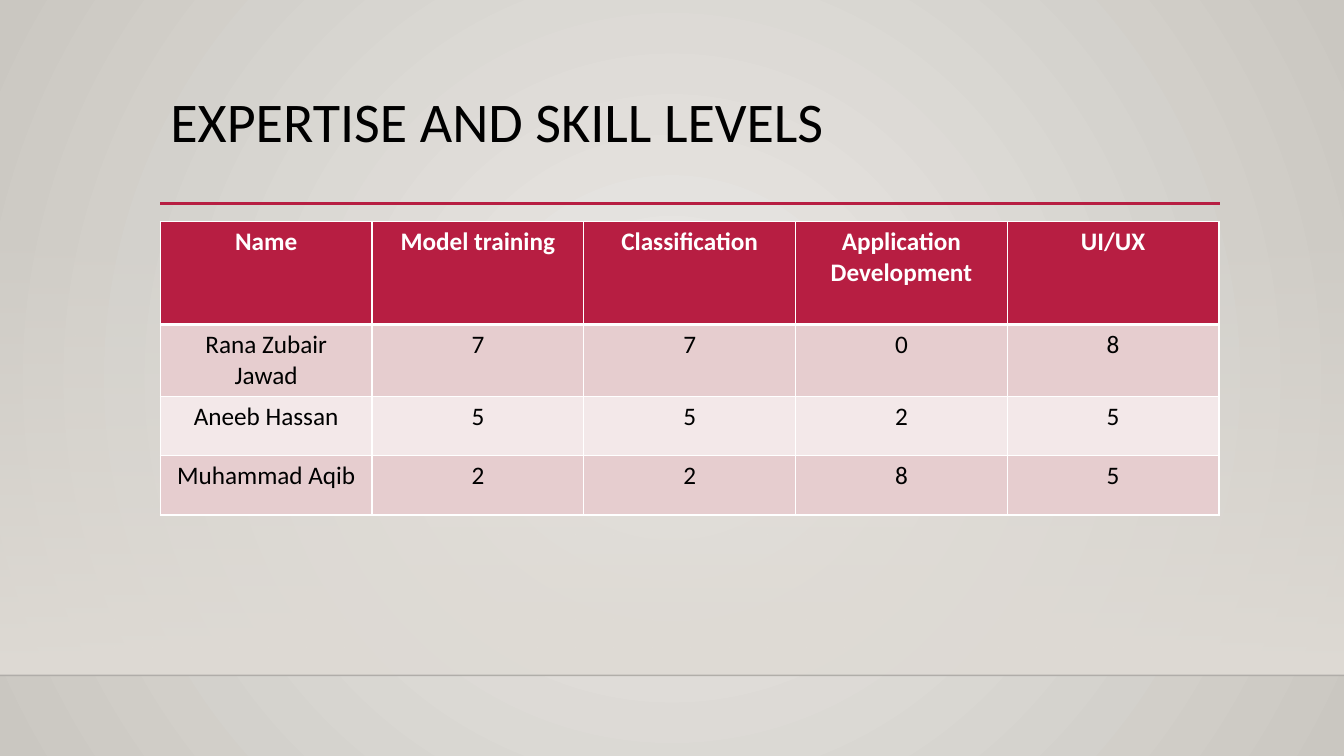
from lxml.etree import SubElement
from pptx import Presentation
from pptx.dml.color import RGBColor
from pptx.enum.shapes import MSO_CONNECTOR, MSO_SHAPE
from pptx.enum.text import MSO_ANCHOR, MSO_AUTO_SIZE, PP_ALIGN
from pptx.oxml.ns import qn
from pptx.util import Pt

SCALE = 9144
COLORS = {
    "centre": "ECEAE7", "edge": "CAC7C1", "wall": "DFDBD5",
    "accent": "B71E42", "band": "E6CDCF", "pale": "F3E8E9",
    "black": "000000", "shade": "000001", "white": "FFFFFF",
}
ROWS = [
    ["Name", "Model training", "Classification", "Application Development", "UI/UX"],
    ["Rana Zubair Jawad", "7", "7", "0", "8"],
    ["Aneeb Hassan", "5", "5", "2", "5"],
    ["Muhammad Aqib", "2", "2", "8", "5"],
]


def px(n):
    return round(n * SCALE)


def rgb(name):
    return RGBColor.from_string(COLORS[name])


def set_alpha(color, percent):
    SubElement(color, qn("a:alpha"), val=str(percent * 1000))


class SlideBuilder:
    font = "Calibri"

    def __init__(self, prs):
        self.s = prs.slides.add_slide(prs.slide_layouts[5])

    def gradient(self, owner, fill, names):
        fill.gradient()
        for stop, name, position in zip(fill.gradient_stops, names, (0, 1)):
            stop.color.rgb = rgb(name)
            stop.position = position
        return owner.element.find(".//" + qn("a:gradFill"))

    def background(self, centre, edge):
        grad = self.gradient(self.s, self.s.background.fill, (centre, edge))
        grad.remove(grad.find(qn("a:lin")))
        circle = SubElement(grad, qn("a:path"), path="circle")
        SubElement(circle, qn("a:fillToRect"), dict.fromkeys("ltrb", "50000"))

    def fade(self, x, y, w, h, color):
        sp = self.s.shapes.add_shape(MSO_SHAPE.RECTANGLE, px(x), px(y), px(w), px(h))
        sp.shadow.inherit = False
        sp.line.fill.background()
        grad = self.gradient(sp, sp.fill, (color, color))
        sp.fill.gradient_angle = 270
        set_alpha(grad.find(".//" + qn("a:srgbClr")), 0)

    def rule(self, x1, x2, y, color, width, alpha=100):
        line = self.s.shapes.add_connector(
            MSO_CONNECTOR.STRAIGHT, px(x1), px(y), px(x2), px(y))
        line.line.color.rgb = rgb(color)
        line.line.width = Pt(width)
        sp_pr = line.element.spPr
        SubElement(sp_pr, qn("a:effectLst"))
        if alpha < 100:
            set_alpha(sp_pr.find(".//" + qn("a:srgbClr")), alpha)

    def style(self, p, size, color, align, bold=False):
        p.alignment = align
        p.font.name = self.font
        p.font.size = Pt(size)
        p.font.bold = bold
        p.font.color.rgb = rgb(color)

    def title(self, text, x, y, w, h):
        sp = self.s.shapes.title
        sp.left, sp.top, sp.width, sp.height = px(x), px(y), px(w), px(h)
        tf = sp.text_frame
        tf.text = text
        tf.word_wrap = True
        tf.auto_size = MSO_AUTO_SIZE.NONE
        tf.vertical_anchor = MSO_ANCHOR.TOP
        p = tf.paragraphs[0]
        p.line_spacing = 0.9
        self.style(p, 40, "black", PP_ALIGN.LEFT)

    def borders(self, cell, widths):
        tc_pr = cell._tc.get_or_add_tcPr()
        for i, (side, width) in enumerate(zip("LRTB", widths)):
            ln = SubElement(tc_pr, qn("a:ln" + side), w=str(Pt(width)))
            fill = SubElement(ln, qn("a:solidFill"))
            SubElement(fill, qn("a:srgbClr"), val=COLORS["white"])
            tc_pr.insert(i, ln)

    def table(self, rows, x, y, col_width, heights):
        cols = len(rows[0])
        table = self.s.shapes.add_table(
            len(rows), cols, px(x), px(y), px(col_width * cols), px(sum(heights))).table
        for col in table.columns:
            col.width = px(col_width)
        for r, (values, height) in enumerate(zip(rows, heights)):
            table.rows[r].height = px(height)
            header = r == 0
            fill = "accent" if header else "band" if r % 2 else "pale"
            for c, value in enumerate(values):
                cell = table.cell(r, c)
                cell.text = value
                cell.margin_left = cell.margin_right = px(11)
                cell.margin_top = cell.margin_bottom = px(5)
                cell.fill.solid()
                cell.fill.fore_color.rgb = rgb(fill)
                self.borders(cell, (1, 1, 3 if r == 1 else 1, 3 if header else 1))
                self.style(cell.text_frame.paragraphs[0], 18,
                           "white" if header else "black", PP_ALIGN.CENTER, header)


def main():
    prs = Presentation()
    prs.slide_width, prs.slide_height = px(1333), px(750)
    slide = SlideBuilder(prs)
    slide.background("centre", "edge")
    slide.fade(0, 221, 1333, 449, "wall")
    slide.rule(0, 1333, 670, "shade", 1, alpha=20)
    slide.rule(159, 1210, 202, "accent", 2.5)
    slide.title("EXPERTISE AND SKILL LEVELS", 159, 88, 1050, 115)
    slide.table(ROWS, 159, 220, 210, [102, 59, 59, 59])
    prs.save("out.pptx")


if __name__ == "__main__":
    main()
